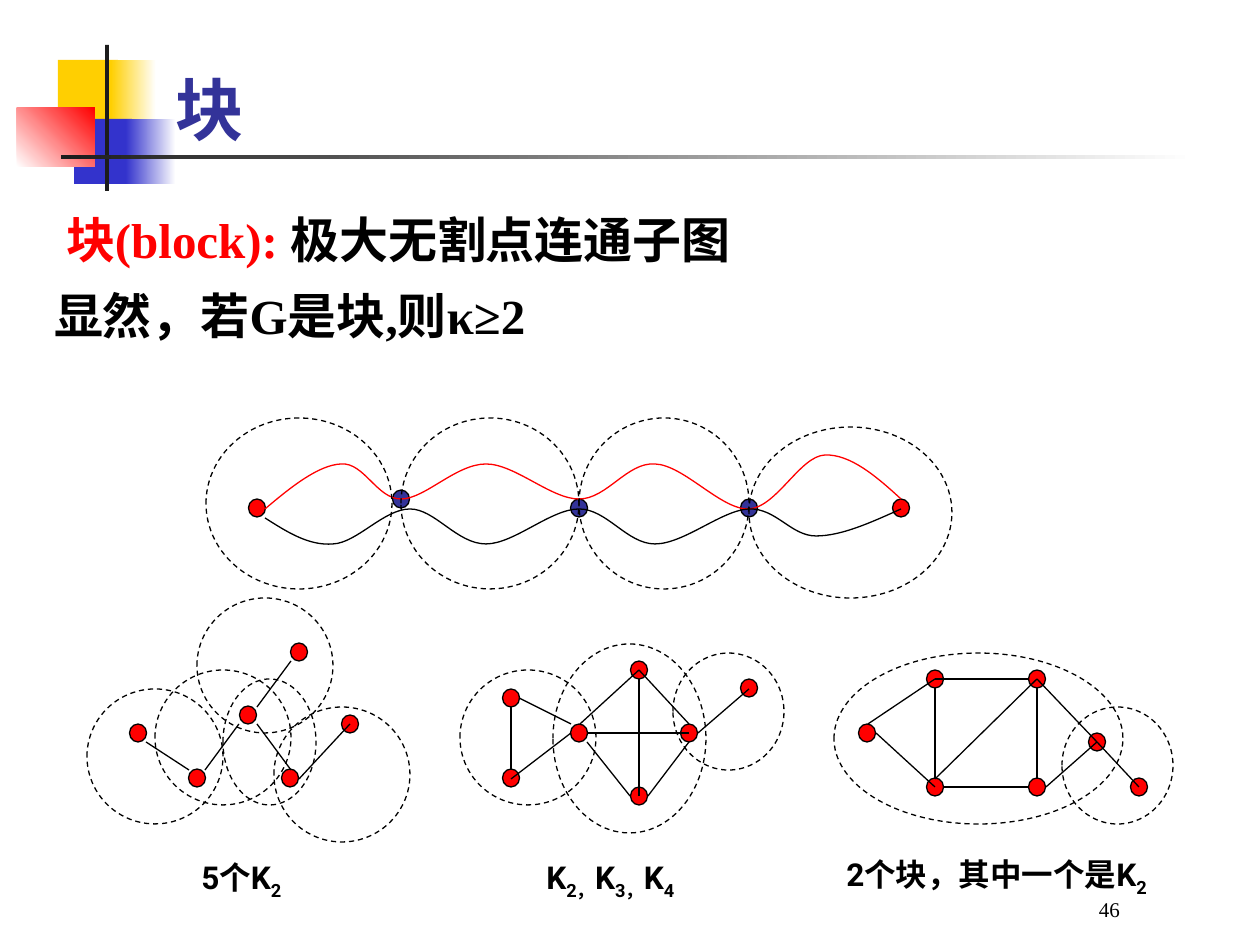
from lxml.etree import SubElement
from pptx import Presentation
from pptx.dml.color import RGBColor
from pptx.enum.dml import MSO_LINE
from pptx.enum.shapes import MSO_CONNECTOR, MSO_SHAPE
from pptx.enum.text import MSO_AUTO_SIZE
from pptx.oxml.ns import qn
from pptx.util import Pt

SCALE = 914400 / 126
WIDTH, HEIGHT = 1260, 945
DOT_WIDTH, DOT_HEIGHT = 17, 18
BLACK, RED, NAVY = "000000", "FF0000", "333399"
YELLOW, BLUE, WHITE, CHARCOAL = "FFCF01", "3333CC", "FFFFFF", "1C1C1C"

BANNER = [
    ((58, 60, 60, 66), [YELLOW], 0),
    ((111, 60, 45, 66), [YELLOW, WHITE], 0),
    ((74, 119, 58, 65), [BLUE], 0),
    ((126, 119, 50, 65), [BLUE, WHITE], 0),
    ((17, 108, 78, 59), [WHITE, RED], 45),
    ((105, 45, 4, 146), [CHARCOAL], 0),
    ((61, 155, 1134, 4), [CHARCOAL, WHITE], 0),
]

CHAIN_CURVES = [
    (RED, [(265, 509), (292, 486), (319, 465), (341, 464), (364, 462), (377, 499), (401, 499),
           (425, 499), (456, 464), (486, 464), (515, 464), (551, 499), (579, 499),
           (607, 499), (627, 462), (655, 464), (684, 465), (721, 510), (749, 509),
           (777, 507), (800, 456), (825, 455), (850, 454), (876, 476), (901, 499)]),
    (BLACK, [(265, 518), (287, 532), (309, 546), (333, 544), (357, 543), (384, 509), (410, 509),
             (435, 509), (457, 544), (486, 544), (514, 544), (551, 509), (579, 509),
             (607, 509), (627, 544), (655, 544), (684, 544), (722, 510), (749, 509),
             (776, 508), (791, 536), (816, 536), (842, 536), (872, 522), (901, 509)]),
]

GRAPHS = [
    {
        "dots": [(257, 508), (901, 508)],
        "cut_dots": [(401, 499), (579, 508), (749, 508)],
        "curves": CHAIN_CURVES,
        "edges": [],
        "blocks": [(206, 418, 186, 171), (401, 418, 178, 171),
                   (579, 418, 170, 171), (749, 427, 203, 171)],
    },
    {
        "dots": [(138, 733), (197, 778), (299, 652), (248, 715), (350, 724), (290, 778)],
        "edges": [(146, 742, 189, 770), (205, 770, 239, 724), (257, 707, 291, 661),
                  (257, 724, 291, 770), (299, 779, 350, 724)],
        "blocks": [(87, 689, 136, 135), (155, 670, 136, 135), (223, 679, 93, 126),
                   (197, 598, 136, 135), (274, 707, 136, 135)],
    },
    {
        "dots": [(639, 670), (639, 796), (511, 778), (511, 698),
                 (689, 733), (749, 688), (579, 733)],
        "edges": [(511, 707, 511, 770), (511, 779, 571, 733), (519, 698, 571, 724),
                  (580, 724, 639, 670), (639, 670, 689, 724), (587, 742, 630, 796),
                  (648, 796, 689, 742), (587, 733, 689, 733), (639, 679, 639, 796),
                  (698, 733, 749, 689)],
        "blocks": [(460, 670, 136, 135), (553, 644, 153, 189), (673, 653, 111, 117)],
    },
    {
        "dots": [(1037, 679), (935, 787), (1037, 787), (867, 733),
                 (1139, 787), (1097, 742), (935, 679)],
        "edges": [(868, 724, 935, 679), (876, 733, 935, 787), (944, 787, 1028, 787),
                  (935, 679, 1028, 679), (1037, 688, 1037, 779), (935, 688, 935, 779),
                  (935, 779, 1037, 679), (1037, 679, 1097, 742), (1046, 787, 1097, 742),
                  (1097, 742, 1139, 787)],
        "blocks": [(834, 653, 289, 171), (1062, 707, 111, 117)],
    },
]

DEFINITION = [
    (12, [("块(block): ", RED), ("极大无割点连通子图", BLACK)]),
    (0, [("显然，若G是块,则κ≥2", BLACK)]),
]
CAPTIONS = [
    ((189, 852, 116, 50), [("5个K", "2")]),
    ((534, 852, 192, 50), [("K", "2，"), ("K", "3，"), ("K", "4")]),
    ((834, 849, 358, 50), [("2个块，其中一个是K", "2")]),
]


def emu(*lengths):
    return [round(length * SCALE) for length in lengths]


def color(value):
    return RGBColor.from_string(value)


def set_line(shape, value=BLACK):
    shape.line.color.rgb = color(value)
    shape.line.width = Pt(0.75)


def add_filled(page, kind, frame, fill=None):
    shape = page.shapes.add_shape(kind, *emu(*frame))
    shape.shadow.inherit = False
    if fill:
        shape.fill.solid()
        shape.fill.fore_color.rgb = color(fill)
    else:
        shape.fill.background()
    return shape


def add_banner(page):
    for frame, colors, angle in BANNER:
        bar = add_filled(page, MSO_SHAPE.RECTANGLE, frame, colors[0])
        bar.line.fill.background()
        if len(colors) == 2:
            bar.fill.gradient()
            bar.fill.gradient_angle = angle
            for stop, value in zip(bar.fill.gradient_stops, colors):
                stop.color.rgb = color(value)


def add_dot(page, x, y, fill):
    frame = (x - DOT_WIDTH / 2, y - DOT_HEIGHT / 2, DOT_WIDTH, DOT_HEIGHT)
    set_line(add_filled(page, MSO_SHAPE.OVAL, frame, fill))


def add_curve(page, value, points):
    builder = page.shapes.build_freeform(*points[0], scale=SCALE)
    builder.add_line_segments(points[1:], close=False)
    curve = builder.convert_to_shape()
    curve.shadow.inherit = False
    curve.fill.background()
    set_line(curve, value)
    segments = list(curve._element.iter(qn("a:lnTo")))
    outline = segments[0].getparent()
    for start in range(0, len(segments), 3):
        bezier = SubElement(outline, qn("a:cubicBezTo"))
        for segment in segments[start:start + 3]:
            bezier.append(segment[0])
            outline.remove(segment)


def add_edge(page, ends):
    edge = page.shapes.add_connector(MSO_CONNECTOR.STRAIGHT, *emu(*ends))
    set_line(edge)
    SubElement(edge._element.spPr, qn("a:effectLst"))


def add_graph(page, graph):
    for dot in graph["dots"]:
        add_dot(page, *dot, RED)
    for dot in graph.get("cut_dots", []):
        add_dot(page, *dot, NAVY)
    for value, points in graph.get("curves", []):
        add_curve(page, value, points)
    for ends in graph["edges"]:
        add_edge(page, ends)
    for frame in graph["blocks"]:
        block = add_filled(page, MSO_SHAPE.OVAL, frame)
        set_line(block)
        block.line.dash_style = MSO_LINE.DASH


def add_text_frame(page, frame, wrap=True, inset=True):
    text_frame = page.shapes.add_textbox(*emu(*frame)).text_frame
    text_frame.word_wrap = wrap
    text_frame.auto_size = MSO_AUTO_SIZE.SHAPE_TO_FIT_TEXT
    if not inset:
        text_frame.margin_left = text_frame.margin_right = 0
        text_frame.margin_top = text_frame.margin_bottom = 0
    return text_frame


def set_font(para, name, size, value=BLACK, bold=True):
    para.font.name = name
    para.font.size = Pt(size)
    para.font.bold = bold
    para.font.color.rgb = color(value)


def add_span(para, text):
    span = para.add_run()
    span.text = text
    return span


def add_definition(page):
    box = add_text_frame(page, (54, 192, 801, 151), inset=False)
    for index, (indent, spans) in enumerate(DEFINITION):
        para = box.add_paragraph() if index else box.paragraphs[0]
        para._p.get_or_add_pPr().set("marL", str(emu(indent)[0]))
        para.line_spacing = 1.3
        set_font(para, "Times New Roman", 28)
        for text, value in spans:
            add_span(para, text).font.color.rgb = color(value)


def add_caption(page, frame, terms):
    para = add_text_frame(page, frame).paragraphs[0]
    set_font(para, "Roboto", 18)
    for text, subscript in terms:
        add_span(para, text)
        add_span(para, subscript)._r.get_or_add_rPr().set("baseline", "-25000")


def add_label(page, frame, text, spacing, inset, *font):
    para = add_text_frame(page, frame, False, inset).paragraphs[0]
    para.line_spacing = Pt(spacing)
    set_font(para, *font)
    add_span(para, text)


def main():
    deck = Presentation()
    deck.slide_width, deck.slide_height = emu(WIDTH, HEIGHT)
    page = deck.slides.add_slide(deck.slide_layouts[6])
    add_banner(page)
    add_label(page, (1099, 902, 21, 20), "46", 11.2, False, "Times New Roman", 12, BLACK, False)
    add_definition(page)
    for graph in GRAPHS:
        add_graph(page, graph)
    add_label(page, (163, 71, 94, 87), "块", 41.1, True, "Noto Sans CJK SC", 39, NAVY)
    for frame, terms in CAPTIONS:
        add_caption(page, frame, terms)
    deck.save("out.pptx")


if __name__ == "__main__":
    main()
